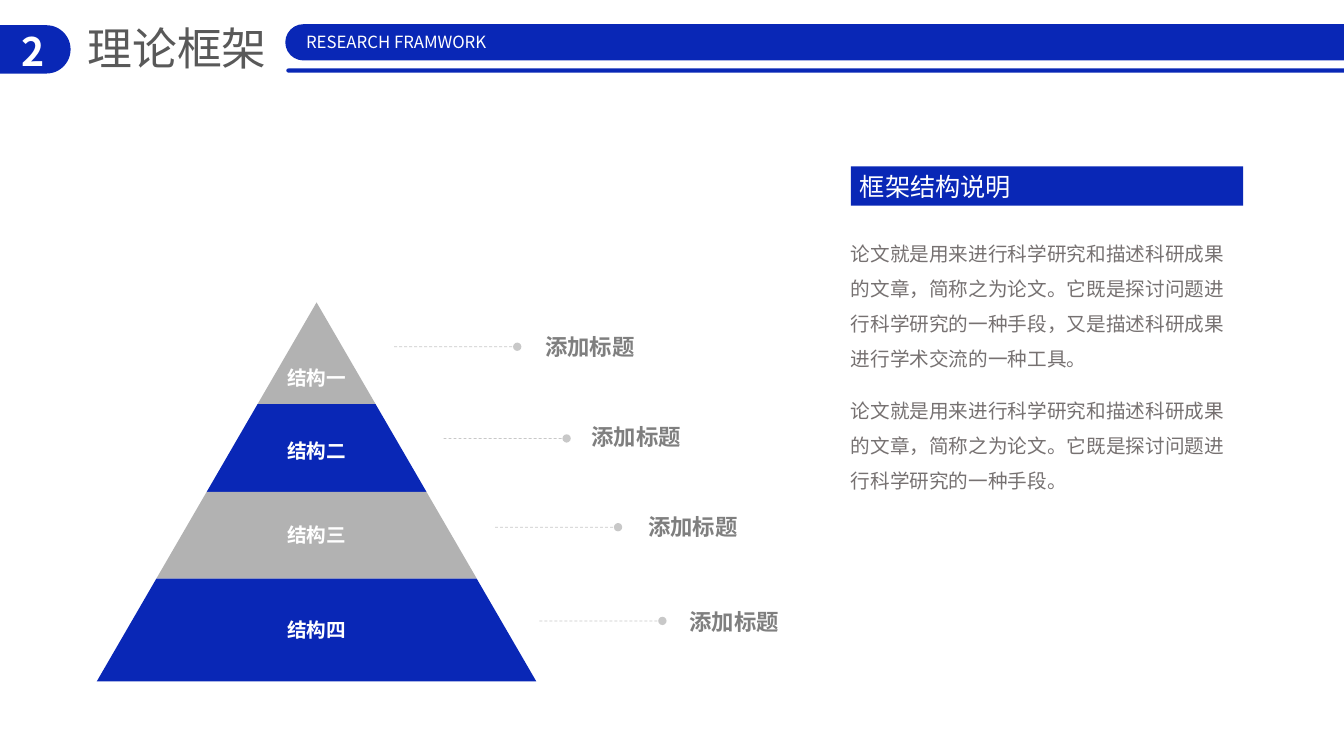
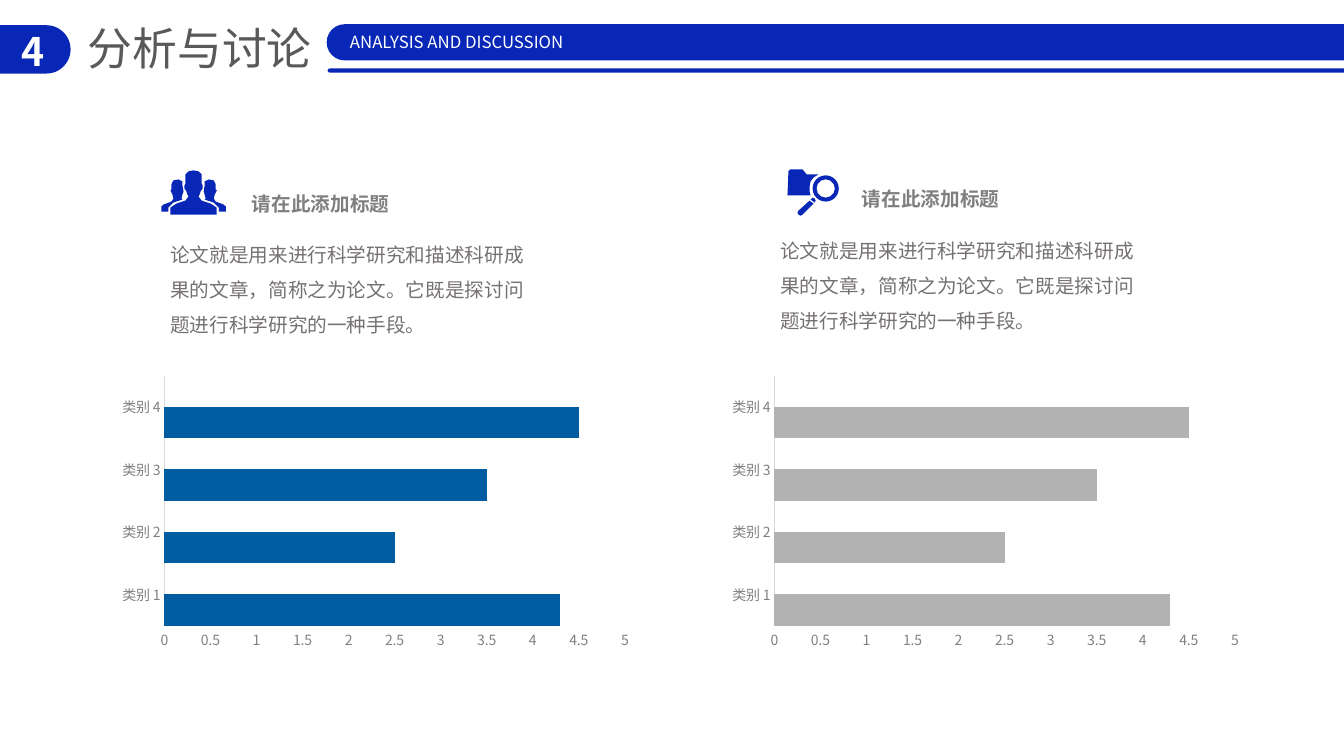
import lxml.etree
import pptx
import pptx.chart.data
import pptx.dml.color
import pptx.enum.chart
import pptx.enum.dml
import pptx.enum.shapes
import pptx.enum.text
import pptx.oxml.ns
import pptx.util

WIDTH, HEIGHT = 13.33, 7.5
FONT = "Noto Sans CJK SC"
COLORS = {
    "blue": "0927B6",
    "silver": "B2B2B2",
    "white": "FFFFFF",
    "title": "595959",
    "label": "7F7F7F",
    "body": "767171",
    "axis_text": "808080",
    "axis_line": "D9D9D9",
    "chart_blue": "005CA1",
    "orange": "ED7D31",
    "gray": "A5A5A5",
}
SHAPES = pptx.enum.shapes.MSO_SHAPE
CENTER = pptx.enum.text.PP_ALIGN.CENTER

FRAMEWORK_HEADER = {
    "number": "2", "title": "理论框架", "title_width": 2,
    "band_left": 2.83, "subtitle": "RESEARCH FRAMWORK", "subtitle_width": 2.12,
}
DISCUSSION_HEADER = {
    "number": "4", "title": "分析与讨论", "title_width": 2.45,
    "band_left": 3.24, "subtitle": "ANALYSIS AND DISCUSSION", "subtitle_width": 2.5,
}

PYRAMID = {"center": 3.14, "top": 3, "bottom": 6.76, "half_base": 2.18}
LEVELS = [
    {"name": "结构一", "bottom": 4.01, "color": "silver", "name_top": 3.58,
     "line": (3.91, 3.44), "label": (5.31, 3.26)},
    {"name": "结构二", "bottom": 4.88, "color": "blue", "name_top": 4.31,
     "line": (4.4, 4.35), "label": (5.77, 4.15)},
    {"name": "结构三", "bottom": 5.74, "color": "silver", "name_top": 5.14,
     "line": (4.91, 5.23), "label": (6.33, 5.04)},
    {"name": "结构四", "bottom": 6.76, "color": "blue", "name_top": 6.08,
     "line": (5.35, 6.16), "label": (6.74, 5.98)},
]
LEVEL_LABEL = "添加标题"
LEADER_LENGTH = 1.22

EXPLANATION_TITLE = "框架结构说明"
EXPLANATIONS = [
    (2.23, 1.51, "论文就是用来进行科学研究和描述科研成果的文章，简称之为论文。它既是探讨问题进行科学研究的一种手段，又是描述科研成果进行学术交流的一种工具。"),
    (3.79, 1.16, "论文就是用来进行科学研究和描述科研成果的文章，简称之为论文。它既是探讨问题进行科学研究的一种手段。"),
]

PANEL_TITLE = "请在此添加标题"
PANEL_BODY = EXPLANATIONS[1][2]
PANELS = [
    {"left": 1.11, "text_top": 1.85, "color": "chart_blue"},
    {"left": 7.16, "text_top": 1.81, "color": "silver"},
]
CATEGORIES = ["类别 1", "类别 2", "类别 3", "类别 4"]
VALUES = [4.3, 2.5, 3.5, 4.5]

PEOPLE_CENTER, ICON_TOP = 1.92, 1.68
SIDE_PERSON = [
    (-11, 16), (-11, 12), (-15, 10), (-20, 11), (-22, 15), (-22, 20), (-23, 21),
    (-21, 25), (-20, 29), (-22, 32), (-30, 35), (-32, 37), (-32, 42), (-25, 42),
    (-25, 38), (-20, 33), (-11, 30), (-12, 29), (-11, 25), (-10, 22),
]
FRONT_HALF = [
    (0, 1), (5, 2), (8, 5), (8, 14), (9, 16), (9, 19), (7, 22), (6, 25),
    (5, 27), (8, 31), (17, 34), (23, 38), (23, 45),
]
FOLDER_LEFT = 7.81
FOLDER_PARTS = [
    [(1, 2), (3, 0), (15, 0), (19, 5), (31, 5), (26, 8), (23, 12), (22, 17),
     (22, 22), (23, 26), (0, 26)],
    [(11, 41), (22, 31), (26, 34), (15, 45), (13, 46), (11, 45), (10, 43)],
    [(23, 30), (25, 28), (27, 29), (28, 31), (27, 33)],
]


def inches(*lengths):
    return [pptx.util.Inches(length) for length in lengths]


def rgb(color):
    return pptx.dml.color.RGBColor.from_string(COLORS[color])


def style_font(font, size, color, bold=False):
    font.size = pptx.util.Pt(size)
    font.bold = bold
    font.color.rgb = rgb(color)
    font.name = FONT
    east_asian = lxml.etree.SubElement(font._element, pptx.oxml.ns.qn("a:ea"))
    east_asian.set("typeface", FONT)


def paint(shape, color):
    shape.shadow.inherit = False
    shape.fill.solid()
    shape.fill.fore_color.rgb = rgb(color)
    shape.line.fill.background()


def add_text(slide, box, text, size, color, bold=False, wrap=False,
             alignment=None, spacing=None):
    frame = slide.shapes.add_textbox(*inches(*box)).text_frame
    frame.word_wrap = wrap
    frame.text = text
    paragraph = frame.paragraphs[0]
    paragraph.alignment = alignment
    paragraph.line_spacing = spacing
    style_font(paragraph.runs[0].font, size, color, bold)


def add_block(slide, preset, box, color="blue", adjustment=None):
    shape = slide.shapes.add_shape(preset, *inches(*box))
    if adjustment is not None:
        shape.adjustments[0] = adjustment
    paint(shape, color)


def add_outline(slide, points, color="blue"):
    vertices = [inches(*point) for point in points]
    builder = slide.shapes.build_freeform(*vertices[0], scale=1.0)
    builder.add_line_segments(vertices[1:], close=True)
    paint(builder.convert_to_shape(), color)


def add_header(slide, header):
    pill = SHAPES.ROUNDED_RECTANGLE
    left = header["band_left"]
    add_block(slide, pill, (-0.28, 0.25, 0.98, 0.48), adjustment=0.5)
    add_text(slide, (0.07, 0.22, 0.51, 0.57), header["number"], 28, "white",
             bold=True, wrap=True, alignment=CENTER)
    add_text(slide, (0.77, 0.16, header["title_width"], 0.64), header["title"], 32, "title")
    for offset, top, height in [(0, 0.24, 0.36), (0.01, 0.68, 0.04)]:
        add_block(slide, pill, (left + offset, top, 11.03, height), adjustment=0.5)
    add_text(slide, (left + 0.04, 0.27, header["subtitle_width"], 0.3),
             header["subtitle"], 12, "white", alignment=CENTER)


def add_leader(slide, left, top):
    line = slide.shapes.add_connector(
        pptx.enum.shapes.MSO_CONNECTOR.STRAIGHT,
        *inches(left, top, left + LEADER_LENGTH, top))
    line.line.color.rgb = rgb("silver")
    line.line.width = pptx.util.Pt(0.5)
    line.line.dash_style = pptx.enum.dml.MSO_LINE.DASH
    qn = pptx.oxml.ns.qn
    properties = line._element.spPr
    outline = properties.find(qn("a:ln"))
    color = outline.find(".//" + qn("a:srgbClr"))
    lxml.etree.SubElement(color, qn("a:alpha")).set("val", "70000")
    lxml.etree.SubElement(outline, qn("a:tailEnd")).set("type", "oval")
    lxml.etree.SubElement(properties, qn("a:effectLst"))


def add_pyramid(slide):
    center, apex = PYRAMID["center"], PYRAMID["top"]
    slope = PYRAMID["half_base"] / (PYRAMID["bottom"] - apex)
    top = apex
    for level in LEVELS:
        bottom = level["bottom"]
        upper, lower = (top - apex) * slope, (bottom - apex) * slope
        corners = [(center - upper, top), (center + upper, top),
                   (center + lower, bottom), (center - lower, bottom)]
        add_outline(slide, corners, level["color"])
        add_text(slide, (2.75, level["name_top"], 0.79, 0.34), level["name"],
                 14, "white", bold=True)
        add_leader(slide, *level["line"])
        add_text(slide, (*level["label"], 1.1, 0.37), LEVEL_LABEL, 16, "label", bold=True)
        top = bottom


def add_people_icon(slide):
    def mirror(points):
        return [(-x, y) for x, y in points]

    front = FRONT_HALF + mirror(FRONT_HALF[:0:-1])
    for part in (SIDE_PERSON, mirror(SIDE_PERSON), front):
        add_outline(slide, [(PEOPLE_CENTER + x / 100, ICON_TOP + y / 100) for x, y in part])


def add_search_icon(slide):
    for part in FOLDER_PARTS:
        add_outline(slide, [(FOLDER_LEFT + x / 100, ICON_TOP + y / 100) for x, y in part])
    add_block(slide, SHAPES.DONUT, (FOLDER_LEFT + 0.25, ICON_TOP + 0.06, 0.26, 0.26),
              adjustment=0.15)


def add_bar_chart(slide, left, color):
    data = pptx.chart.data.CategoryChartData()
    data.categories = CATEGORIES
    empty = [None] * len(CATEGORIES)
    for index, values in enumerate([VALUES, empty, empty], 1):
        data.add_series(f"Series {index}", values)
    chart = slide.shapes.add_chart(
        pptx.enum.chart.XL_CHART_TYPE.BAR_CLUSTERED,
        *inches(left, 3.67, 5.23, 2.83), data).chart
    chart.has_title = False
    chart.has_legend = False
    chart.font.size = pptx.util.Pt(10)
    chart.font.name = "Calibri"
    plot = chart.plots[0]
    plot.vary_by_categories = False
    plot.gap_width = 0
    plot.overlap = 50
    for series, fill in zip(plot.series, [color, "orange", "gray"]):
        series.format.fill.solid()
        series.format.fill.fore_color.rgb = rgb(fill)
    for axis in (chart.category_axis, chart.value_axis):
        axis.has_major_gridlines = False
        axis.major_tick_mark = pptx.enum.chart.XL_TICK_MARK.NONE
        axis.minor_tick_mark = pptx.enum.chart.XL_TICK_MARK.NONE
        style_font(axis.tick_labels.font, 10, "axis_text")
    chart.category_axis.format.line.color.rgb = rgb("axis_line")
    chart.category_axis.format.line.width = pptx.util.Pt(0.75)
    values_axis = chart.value_axis
    values_axis.format.line.fill.background()
    values_axis.minimum_scale = 0
    values_axis.maximum_scale = 5
    values_axis.major_unit = 0.5


def build_framework(slide):
    add_header(slide, FRAMEWORK_HEADER)
    add_pyramid(slide)
    add_block(slide, SHAPES.RECTANGLE, (8.44, 1.65, 3.89, 0.39))
    add_text(slide, (8.43, 1.65, 1.72, 0.4), EXPLANATION_TITLE, 18, "white", wrap=True)
    for top, height, text in EXPLANATIONS:
        add_text(slide, (8.34, top, 4.03, height), text, 14, "body", wrap=True, spacing=1.5)


def build_discussion(slide):
    add_header(slide, DISCUSSION_HEADER)
    add_people_icon(slide)
    add_search_icon(slide)
    for panel in PANELS:
        left, top = panel["left"], panel["text_top"]
        add_text(slide, (left + 1.29, top, 1.58, 0.34), PANEL_TITLE, 14, "label", bold=True)
        add_text(slide, (left + 0.48, top + 0.39, 3.8, 1.16), PANEL_BODY, 14, "body",
                 wrap=True, spacing=1.5)
        add_bar_chart(slide, left, panel["color"])


def main():
    presentation = pptx.Presentation()
    presentation.slide_width, presentation.slide_height = inches(WIDTH, HEIGHT)
    blank = presentation.slide_layouts[6]
    for build in (build_framework, build_discussion):
        build(presentation.slides.add_slide(blank))
    presentation.save("out.pptx")


if __name__ == "__main__":
    main()
